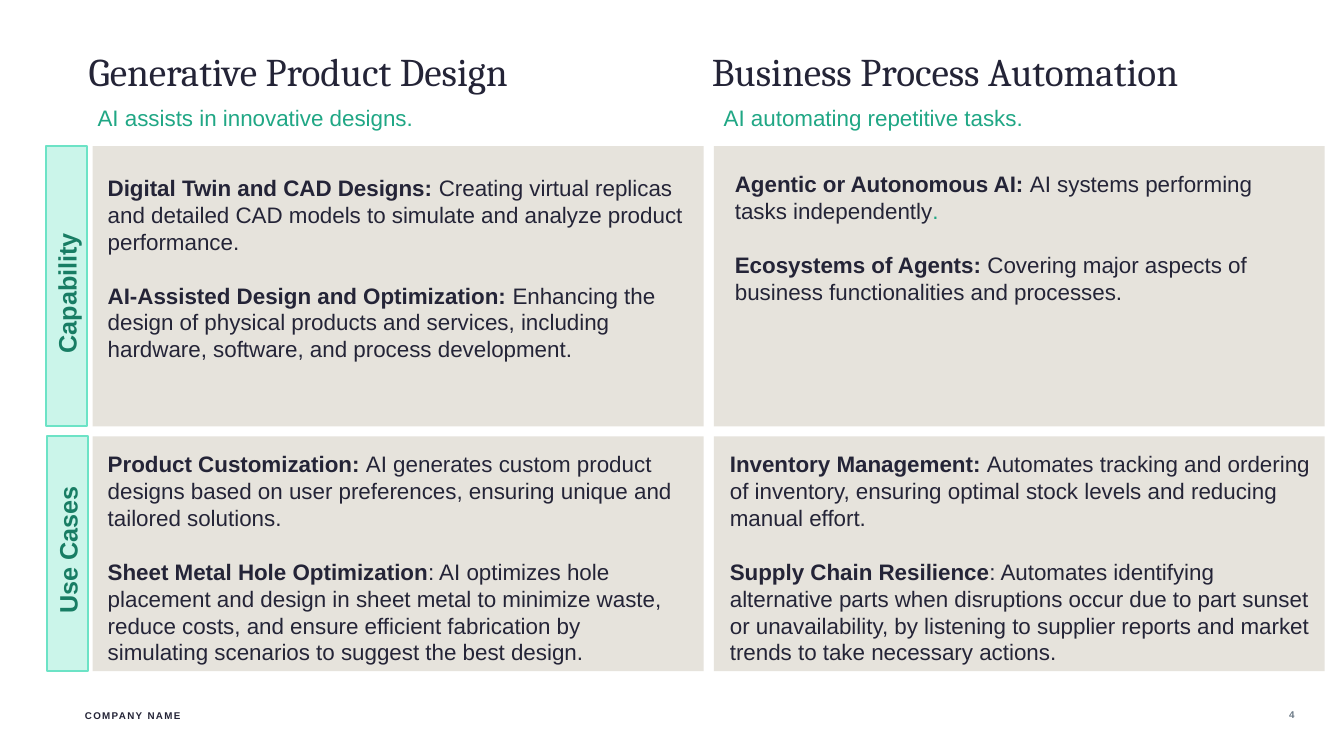
from pptx import Presentation
from pptx.dml.color import RGBColor
from pptx.enum.shapes import MSO_SHAPE
from pptx.enum.text import MSO_ANCHOR, PP_ALIGN
from pptx.util import Inches, Pt

RECTANGLE = MSO_SHAPE.RECTANGLE
TOP, MIDDLE = MSO_ANCHOR.TOP, MSO_ANCHOR.MIDDLE
LEFT, RIGHT = PP_ALIGN.LEFT, PP_ALIGN.RIGHT

INK = RGBColor(0x24, 0x24, 0x37)
SLATE = RGBColor(0x6A, 0x78, 0x85)
SAND = RGBColor(0xE6, 0xE3, 0xDC)
GREEN = RGBColor(0x20, 0xA7, 0x85)
DARK_GREEN = RGBColor(0x18, 0x7D, 0x64)
MINT = RGBColor(0xCB, 0xF5, 0xEA)
MINT_LINE = RGBColor(0x6C, 0xE3, 0xC6)

LINE_PITCH = Pt(19.2)
PANEL_WIDTH = 6.06
BAR_WIDTH = 0.4
LABEL_HEIGHT = 0.4

HEADINGS = [
    (0.88, "Generative Product Design", 0.87, "AI assists in innovative designs."),
    (7.06, "Business Process Automation", 7.08, "AI automating repetitive tasks."),
]
PANEL_LEFTS = [0.92, 7.08]
ROWS = [
    ("Capability", 0.46, 1.45, 2.78, 2.86, 1.49),
    ("Use Cases", 0.47, 4.33, 2.33, 5.3, 1.77),
]
BODIES = [
    ((0.97, 1.68, 6, 2.26), [
        [("Digital Twin and CAD Designs: ", True, INK),
         ("Creating virtual replicas and detailed CAD models to simulate and "
          "analyze product performance.", False, INK)],
        [("AI-Assisted Design and Optimization: ", True, INK),
         ("Enhancing the design of physical products and services, including "
          "hardware, software, and process development.", False, INK)],
    ]),
    ((7.19, 1.64, 5.81, 1.45), [
        [("Agentic or Autonomous AI: ", True, INK),
         ("AI systems performing tasks independently", False, INK),
         (".", False, GREEN)],
        [("Ecosystems of Agents: ", True, INK),
         ("Covering major aspects of business functionalities and processes.",
          False, INK)],
    ]),
    ((0.97, 4.42, 5.92, 2.25), [
        [("Product Customization: ", True, INK),
         ("AI generates custom product designs based on user preferences, "
          "ensuring unique and tailored solutions.", False, INK)],
        [("Sheet Metal Hole Optimization", True, INK),
         (": AI optimizes hole placement and design in sheet metal to minimize "
          "waste, reduce costs, and ensure efficient fabrication by simulating "
          "scenarios to suggest the best design.", False, INK)],
    ]),
    ((7.14, 4.42, 5.99, 2.25), [
        [("Inventory Management: ", True, INK),
         ("Automates tracking and ordering of inventory, ensuring optimal stock "
          "levels and reducing manual effort.", False, INK)],
        [("Supply Chain Resilience", True, INK),
         (": Automates identifying alternative parts when disruptions occur due "
          "to part sunset or unavailability, by listening to supplier reports "
          "and market trends to take necessary actions.", False, INK)],
    ]),
]


def add_panel(page, area, fill, line=None):
    panel = page.shapes.add_shape(RECTANGLE, *map(Inches, area))
    panel.shadow.inherit = False
    panel.fill.solid()
    panel.fill.fore_color.rgb = fill
    if line is None:
        panel.line.fill.background()
    else:
        panel.line.color.rgb = line
        panel.line.width = Pt(1.5)


def add_box(page, area, inset=True, wrap=True):
    box = page.shapes.add_textbox(*map(Inches, area))
    frame = box.text_frame
    frame.word_wrap = wrap
    frame.vertical_anchor = TOP
    if not inset:
        frame.margin_left = frame.margin_right = 0
        frame.margin_top = frame.margin_bottom = 0
    return box


def write_line(box, text, size, color, name="Arial", bold=False, align=LEFT):
    para = box.text_frame.paragraphs[0]
    para.alignment = align
    para.font.name = name
    para.font.size = Pt(size)
    para.font.bold = bold
    para.font.color.rgb = color
    span = para.add_run()
    span.text = text
    return span


def add_body(page, area, paragraphs):
    frame = add_box(page, area).text_frame
    for index, spans in enumerate(paragraphs):
        para = frame.add_paragraph() if index else frame.paragraphs[0]
        para.line_spacing = LINE_PITCH
        para.space_before = LINE_PITCH if index else Pt(0)
        para.font.name = "Arial"
        para.font.size = Pt(16)
        for text, bold, color in spans:
            span = para.add_run()
            span.text = text
            span.font.bold = bold
            span.font.color.rgb = color


def add_row_label(page, text, bar_left, center_y, length):
    left = bar_left + BAR_WIDTH / 2 - length / 2
    top = center_y - LABEL_HEIGHT / 2
    box = add_box(page, (left, top, length, LABEL_HEIGHT))
    box.rotation = 270
    write_line(box, text, 18, DARK_GREEN, bold=True)


def add_footer(page, area, text, color):
    box = add_box(page, area, inset=False, wrap=False)
    box.text_frame.vertical_anchor = MIDDLE
    span = write_line(box, text, 7, color, bold=True, align=RIGHT)
    span._r.get_or_add_rPr().set("spc", "100")


def main():
    deck = Presentation()
    deck.slide_width = Inches(13.33)
    deck.slide_height = Inches(7.5)
    page = deck.slides.add_slide(deck.slide_layouts[6])

    for label, bar_left, top, height, center_y, length in ROWS:
        for left in PANEL_LEFTS:
            add_panel(page, (left, top, PANEL_WIDTH, height), SAND)
        add_panel(page, (bar_left, top, BAR_WIDTH, height), MINT, MINT_LINE)
        add_row_label(page, label, bar_left, center_y, length)

    for title_left, title, subtitle_left, subtitle in HEADINGS:
        title_box = add_box(page, (title_left, 0.47, 6.06, 0.57), inset=False)
        write_line(title_box, title, 28, INK, name="Cambria")
        subtitle_box = add_box(page, (subtitle_left, 0.98, 6.06, 0.37))
        write_line(subtitle_box, subtitle, 16, GREEN)

    for area, paragraphs in BODIES:
        add_body(page, area, paragraphs)

    add_footer(page, (0.75, 7.04, 1.04, 0.12), "COMPANY NAME", INK)
    add_footer(page, (12.43, 7.03, 0.41, 0.12), "4", SLATE)
    deck.save("out.pptx")


if __name__ == "__main__":
    main()
